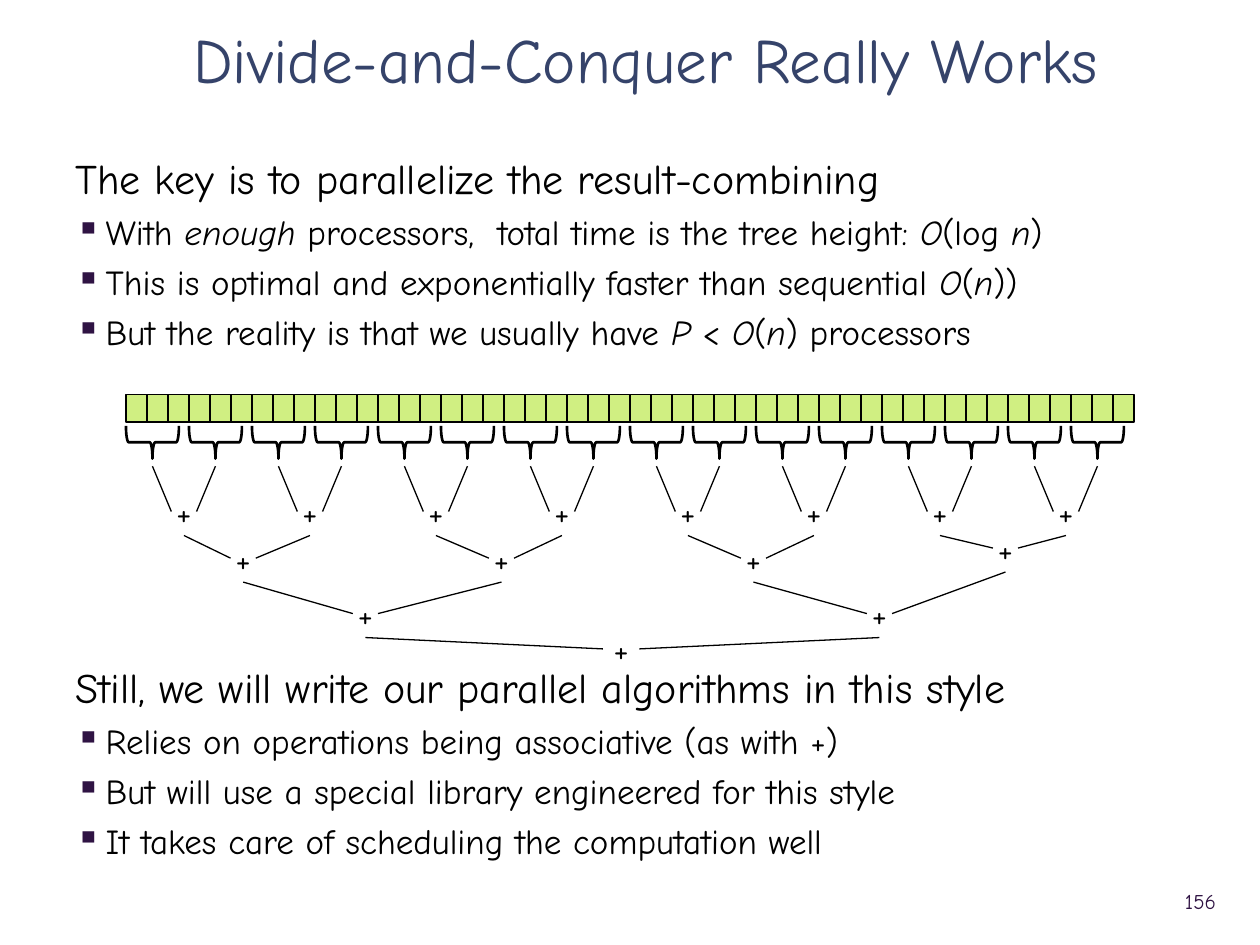
import pptx
import pptx.util
import pptx.dml.color
import pptx.enum.shapes
import pptx.enum.text
import pptx.oxml.ns
from lxml import etree

W, H = 10, 7.5
FONT = "Comic Neue"
COLORS = {"title": "35436A", "text": "000000", "accent": "2F1343",
          "cell": "D0EF82", "line": "000000"}
TITLE = "Divide-and-Conquer Really Works"
NUMBER = "156"
# Runs alternate between upright and italic.
SECTIONS = [
    (1.16, "The key is to parallelize the result-combining", [
        ["With", " enough ", "processors,  total time is the tree height: ",
         "O", "(log ", "n", ")"],
        ["This is optimal and exponentially faster than sequential ",
         "O", "(", "n", "))"],
        ["But the reality is that we usually have ", "P", " < ", "O", "(",
         "n", ") processors"],
    ]),
    (5.2, "Still, we will write our parallel algorithms in this style", [
        ["Relies on operations being associative (as with +)"],
        ["But will use a special library engineered for this style"],
        ["It takes care of scheduling the computation well"],
    ]),
]
CELLS, LEAVES, LEFT = 48, 16, 1
CELL_W, CELL_H, CELL_Y = 8 / CELLS, 0.22, 3.13
BRACE_W, BRACE_H, BRACE_Y = 0.42, 0.26, 3.51
LEAF_Y, PLUS_W, PLUS_H = 3.7, 0.2, 0.38
LEVELS = [
    [(1.46 + i, 4.06) for i in range(LEAVES // 2)],
    [(1.93, 4.43), (3.98, 4.43), (5.98, 4.43), (7.98, 4.35)],
    [(2.9, 4.87), (6.98, 4.87)],
    [(4.93, 5.15)],
]
ROOT_GAP = 0.145

SHAPE = pptx.enum.shapes.MSO_SHAPE
ALIGN = pptx.enum.text.PP_ALIGN
MIDDLE = pptx.enum.text.MSO_ANCHOR.MIDDLE
qn = pptx.oxml.ns.qn
inch = pptx.util.Inches


def rgb(name):
    return pptx.dml.color.RGBColor.from_string(COLORS[name])


def assign(obj, values):
    for key, value in values.items():
        setattr(obj, key, value)


def box(x, y, w, h):
    return [inch(v) for v in (x, y, w, h)]


def add_run(p, text, size, color="text", italic=False):
    r = p.add_run()
    r.text = text
    assign(r.font, {"name": FONT, "size": pptx.util.Pt(size), "italic": italic})
    r.font.color.rgb = rgb(color)


def add_text(s, area, text, size, color="text", align=ALIGN.CENTER, **frame):
    tf = s.shapes.add_textbox(*box(*area)).text_frame
    assign(tf, {"vertical_anchor": MIDDLE, **frame})
    p = tf.paragraphs[0]
    p.alignment = align
    add_run(p, text, size, color)


def add_bullet(p):
    pPr = p._p.get_or_add_pPr()
    pPr.set("marL", str(inch(0.24)))
    pPr.set("indent", str(inch(-0.24)))
    clr = etree.SubElement(pPr, qn("a:buClr"))
    etree.SubElement(clr, qn("a:srgbClr")).set("val", COLORS["accent"])
    etree.SubElement(pPr, qn("a:buChar")).set("char", "▪")


def add_section(s, top, heading, bullets):
    tf = s.shapes.add_textbox(*box(0.5, top, 9.5, 1.8)).text_frame
    tf.word_wrap = True
    add_run(tf.paragraphs[0], heading, 24)
    for runs in bullets:
        p = tf.add_paragraph()
        p.space_before = pptx.util.Pt(4.6)
        add_bullet(p)
        for i, text in enumerate(runs):
            add_run(p, text, 20, italic=i % 2 == 1)


def add_shape(s, kind, area, width, fill=None):
    sp = s.shapes.add_shape(kind, *box(*area))
    sp.shadow.inherit = False
    if fill:
        sp.fill.solid()
        sp.fill.fore_color.rgb = rgb(fill)
    else:
        sp.fill.background()
    sp.line.color.rgb = rgb("line")
    sp.line.width = pptx.util.Pt(width)
    return sp


def add_line(s, start, end):
    c = s.shapes.add_connector(pptx.enum.shapes.MSO_CONNECTOR.STRAIGHT,
                               *box(*start, *end))
    c.line.color.rgb = rgb("line")
    c.line.width = pptx.util.Pt(0.75)
    etree.SubElement(c._element.spPr, qn("a:effectLst"))


def add_tree(s):
    for i in range(CELLS):
        add_shape(s, SHAPE.RECTANGLE,
                  (LEFT + i * CELL_W, CELL_Y, CELL_W, CELL_H), 0.75, "cell")
    children = [(1.21 + i * 3 * CELL_W, LEAF_Y) for i in range(LEAVES)]
    for x, _ in children:
        sp = add_shape(s, SHAPE.LEFT_BRACE,
                       (x - BRACE_H / 2, BRACE_Y - BRACE_W / 2, BRACE_H, BRACE_W), 1.5)
        sp.rotation = 270
    for nodes in LEVELS:
        gap = ROOT_GAP if len(nodes) == 1 else PLUS_W / 2
        for i, (x, y) in enumerate(nodes):
            left, right = children[2 * i:2 * i + 2]
            add_line(s, left, (x - gap, y))
            add_line(s, right, (x + gap, y))
            add_text(s, (x - PLUS_W / 2, y - PLUS_H / 2, PLUS_W, PLUS_H), "+", 20,
                     word_wrap=False, margin_left=inch(0.03), margin_right=inch(0.03),
                     margin_top=inch(0.02), margin_bottom=inch(0.02))
        children = [(x, y + PLUS_H / 2) for x, y in nodes]


def main():
    prs = pptx.Presentation()
    assign(prs, {"slide_width": inch(W), "slide_height": inch(H)})
    s = prs.slides.add_slide(prs.slide_layouts[5])
    title = s.shapes.title
    assign(title, dict(zip(("left", "top", "width", "height"),
                           box(0.5, 0.17, 9.25, 0.53))))
    title.text_frame.vertical_anchor = MIDDLE
    p = title.text_frame.paragraphs[0]
    assign(p, {"alignment": ALIGN.CENTER, "line_spacing": 1.1})
    add_run(p, TITLE, 36, "title")
    for section in SECTIONS:
        add_section(s, *section)
    add_text(s, (8.89, 6.95, 0.86, 0.4), NUMBER, 12, "accent", ALIGN.RIGHT,
             word_wrap=True)
    add_tree(s)
    prs.save("out.pptx")


if __name__ == "__main__":
    main()
